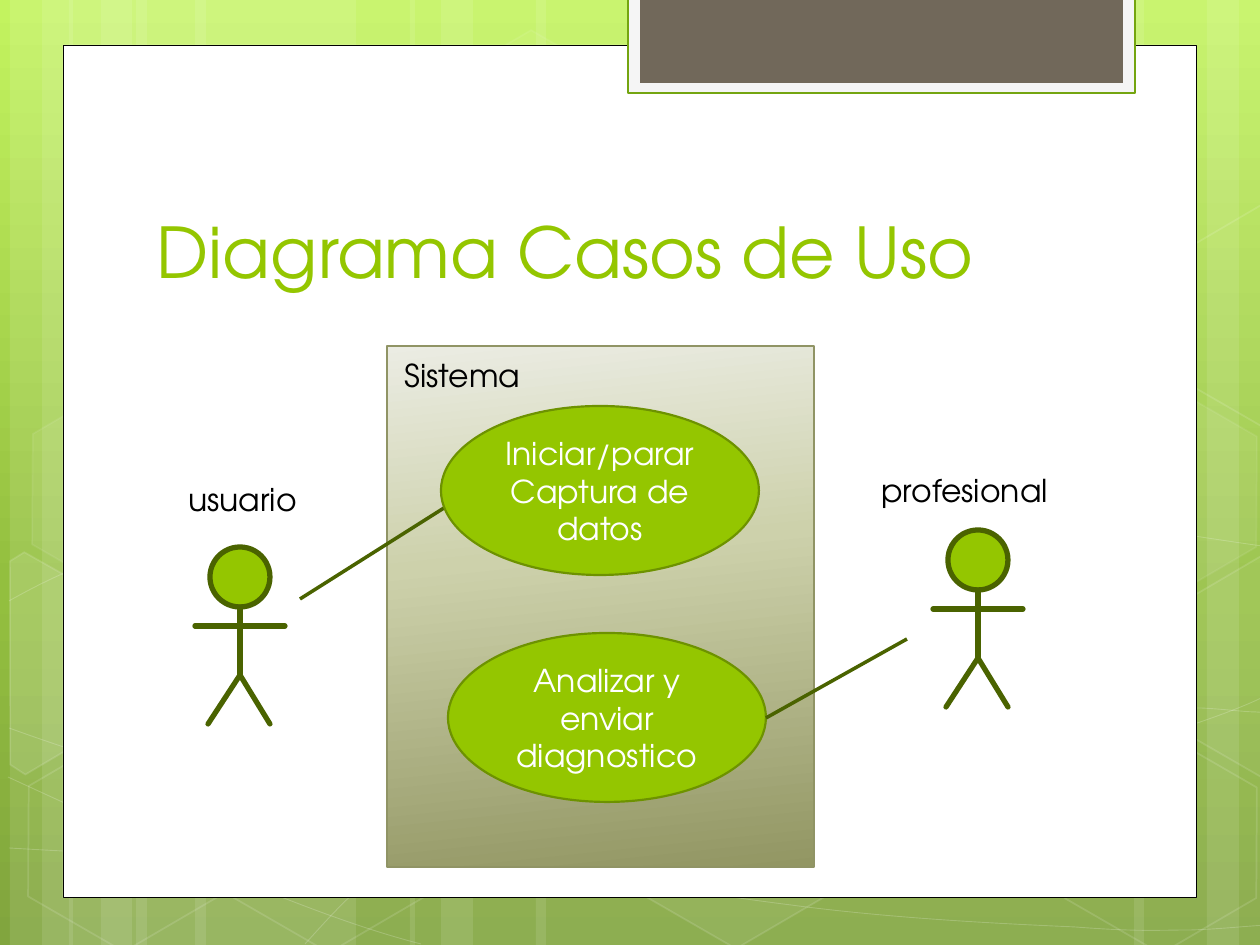
from math import cos, radians, sin
from lxml.etree import SubElement
from pptx import Presentation
from pptx.dml.color import RGBColor
from pptx.enum.shapes import MSO_CONNECTOR, MSO_SHAPE
from pptx.enum.text import MSO_ANCHOR, PP_ALIGN
from pptx.oxml.ns import qn
from pptx.util import Pt

UNIT = 914400 / 126
FONT = "TeX Gyre Adventor"
TURN = 30
HUES = {
    "white": "FFFFFF", "black": "000000", "green": "94C600",
    "edge": "6D9200", "dark": "4A6300", "rim": "74A510",
    "pale": "F5F5F5", "brown": "71685A", "olive": "909465",
}
SKY = [(0, "C3F35F"), (62, "93BF3F"), (100, "81A53E")]
SHADE = [(0, "EBECE3"), (40, "CDD1AB"), (100, "929663")]
BANDS = [
    (136, 220), (10, 63), (42, 105), (195, 220), (69, 63), (101, 105),
    (924, 220), (1207, 63), (1134, 105), (536, 388), (410, 63), (441, 105),
]
CURVES = [
    [(9, 848), (77, 852, 145, 856, 239, 854), (334, 853, 451, 851, 577, 838),
     (703, 825, 882, 801, 998, 777), (1113, 753, 1231, 715, 1269, 694)],
    [(9, 601), (45, 581, 82, 562, 152, 543), (224, 524, 326, 499, 437, 488),
     (549, 479, 685, 478, 824, 488), (963, 498, 1193, 537, 1269, 547)],
    [(8, 777), (160, 847, 311, 916, 421, 944)],
    [(9, 728), (48, 742, 88, 756, 161, 776), (234, 795, 344, 827, 450, 848),
     (554, 869, 687, 892, 791, 905), (896, 919, 1008, 924, 1075, 927),
     (1140, 932, 1158, 930, 1191, 930), (1223, 929, 1246, 926, 1269, 925)],
    [(305, 944), (328, 919, 350, 893, 381, 871), (411, 848, 454, 823, 489, 805),
     (524, 788, 546, 780, 592, 767), (638, 754, 722, 737, 766, 728),
     (811, 719, 818, 719, 857, 717), (896, 713, 958, 709, 1000, 708),
     (1044, 707, 1116, 708, 1116, 708), (1201, 708),
     (1223, 709, 1245, 712, 1256, 712), (1268, 713, 1264, 712, 1268, 713)],
]
HEXES = [
    (421, 45, 4, 8), (626, 742, 6, 12), (14, 745, 0, 12), (18, 393, 7, 8),
    (219, 746, 0, 12), (1051, 747, 0, 12), (1051, 396, 7, 8),
]
LEFT = [(10, 561), (24, 552), (121, 607), (120, 718), (25, 774), (10, 765)]
RIGHT = [(1167, 611), (1261, 556), (1271, 562), (1271, 772), (1263, 777), (1167, 722)]
SHARDS = [
    (LEFT, (45, 674), 10), (RIGHT, (1241, 655), 4),
    ([(x, y - 351) for x, y in RIGHT], (1241, 304), 0),
]


def emu(*nums):
    return [round(n * UNIT) for n in nums]


def tint(fill, hue, root, alpha):
    fill.solid()
    fill.fore_color.rgb = RGBColor.from_string(HUES[hue])
    if alpha < 100:
        node = root.find(qn("a:solidFill")).find(qn("a:srgbClr"))
        SubElement(node, qn("a:alpha"), val=str(alpha * 1000))


def paint(shape, hue=None, line=None, width=1, alpha=100, faint=100):
    shape.shadow.inherit = False
    props = shape.element.spPr
    if hue and alpha:
        tint(shape.fill, hue, props, alpha)
    else:
        shape.fill.background()
    if line:
        shape.line.width = Pt(width)
        tint(shape.line.fill, line, props.find(qn("a:ln")), faint)
    else:
        shape.line.fill.background()
    return shape


def blend(fill, root, stops, angle):
    fill.gradient()
    fill.gradient_angle = 360 - angle
    bag = next(root.iter(qn("a:gsLst")))
    for stop in list(bag):
        bag.remove(stop)
    for pos, hue in stops:
        stop = SubElement(bag, qn("a:gs"), pos=str(pos * 1000))
        SubElement(stop, qn("a:srgbClr"), val=hue)


def block(slide, kind, box, *look, **more):
    return paint(slide.shapes.add_shape(kind, *emu(*box)), *look, **more)


def trace(slide, dots, close):
    pen = slide.shapes.build_freeform(*dots[0], scale=UNIT)
    pen.add_line_segments(dots[1:], close=close)
    return pen.convert_to_shape()


def curve(slide, start, parts):
    dots = [start] + [part[-2:] for part in parts]
    shape = trace(slide, dots, False)
    left, top = (min(axis) for axis in zip(*dots))
    legs = list(shape.element.iter(qn("a:lnTo")))
    for leg, part in zip(legs, parts):
        if len(part) == 6:
            leg.tag = qn("a:cubicBezTo")
            leg.remove(leg[0])
            for x, y in zip(part[::2], part[1::2]):
                SubElement(leg, qn("a:pt"), x=str(x - left), y=str(y - top))
    paint(shape, None, "white", 0.5, faint=20)


def shard(slide, dots, hub, alpha):
    c, s = cos(radians(TURN)), sin(radians(TURN))
    flat = []
    for x, y in dots:
        dx, dy = x - hub[0], y - hub[1]
        flat.append((hub[0] + dx * c + dy * s, hub[1] - dx * s + dy * c))
    shape = trace(slide, flat, True)
    shape.rotation = TURN
    paint(shape, "white", "white", alpha=alpha, faint=12)


def link(slide, ends, width, cap="flat"):
    line = slide.shapes.add_connector(MSO_CONNECTOR.STRAIGHT, *emu(*ends))
    line.line.width = Pt(width)
    line.line.color.rgb = RGBColor.from_string(HUES["dark"])
    props = line._element.spPr
    props.find(qn("a:ln")).set("cap", cap)
    SubElement(props, qn("a:effectLst"))


def write(shape, text, size, hue, anchor=MSO_ANCHOR.TOP, align=PP_ALIGN.LEFT):
    frame = shape.text_frame
    frame.text = text
    frame.word_wrap = True
    frame.vertical_anchor = anchor
    for para in frame.paragraphs:
        para.alignment = align
        for run in para.runs:
            run.font.name = FONT
            run.font.size = Pt(size)
            run.font.color.rgb = RGBColor.from_string(HUES[hue])


def label(slide, box, text, size=18, hue="black", anchor=MSO_ANCHOR.TOP):
    write(slide.shapes.add_textbox(*emu(*box)), text, size, hue, anchor)


def scene(slide, wide, high):
    blend(slide.background.fill, slide.element, SKY, 90)
    for x, w in BANDS:
        block(slide, MSO_SHAPE.RECTANGLE, (x, 0, w, high), "white", alpha=10)
    for start, *parts in CURVES:
        curve(slide, start, parts)
    for x, y, alpha, faint in HEXES:
        hexa = block(slide, MSO_SHAPE.HEXAGON, (x, y, 220, 192),
                     "white", "white", alpha=alpha, faint=faint)
        hexa.adjustments[0] = 0.285
        hexa.rotation = TURN
    for dots, hub, alpha in SHARDS:
        shard(slide, dots, hub, alpha)
    block(slide, MSO_SHAPE.RECTANGLE, (63, 45, wide - 126, 853), "white", "black", 0.5)


def tab(slide, x, y, w, h):
    block(slide, MSO_SHAPE.RECTANGLE, (x, y, w, h), "pale", "rim", 1.25)
    block(slide, MSO_SHAPE.RECTANGLE, (x + 12, y, w - 24, h - 10), "brown")


def system(slide, x, y, w, h):
    box = block(slide, MSO_SHAPE.RECTANGLE, (x, y, w, h), "white", "olive", 0.75)
    blend(box.fill, box.element.spPr, SHADE, 84)


def case(slide, x, y, text):
    oval = block(slide, MSO_SHAPE.OVAL, (x, y, 318, 169), "green", "edge", 1.25)
    write(oval, text, 18, "white", MSO_ANCHOR.MIDDLE, PP_ALIGN.CENTER)


def actor(slide, x, y):
    mid, hip = x + 45, y + 128
    block(slide, MSO_SHAPE.OVAL, (mid - 30, y, 60, 60), "green", "dark", 3)
    limbs = [
        (mid, y + 60, mid, hip), (x, y + 79, x + 90, y + 79),
        (mid, hip, mid + 30, y + 177), (mid, hip, mid - 32, y + 177),
    ]
    for limb in limbs:
        link(slide, limb, 3, "rnd")


deck = Presentation()
deck.slide_width, deck.slide_height = emu(1260, 945)
slide = deck.slides.add_slide(deck.slide_layouts[6])
scene(slide, 1260, 945)
tab(slide, 628, -2, 507, 95)
system(slide, 387, 346, 427, 521)
label(slide, (144, 141, 968, 158), "Diagrama Casos de Uso", 40, "green", MSO_ANCHOR.BOTTOM)
actor(slide, 195, 547)
actor(slide, 933, 530)
case(slide, 448, 633, "Analizar y enviar diagnostico")
link(slide, (300, 599, 444, 508), 2)
link(slide, (907, 639, 766, 718), 2)
label(slide, (392, 350, 277, 50), "Sistema")
case(slide, 441, 406, "Iniciar/parar\nCaptura de datos")
label(slide, (176, 474, 158, 50), "usuario")
label(slide, (869, 465, 218, 50), "profesional")
deck.save("out.pptx")
